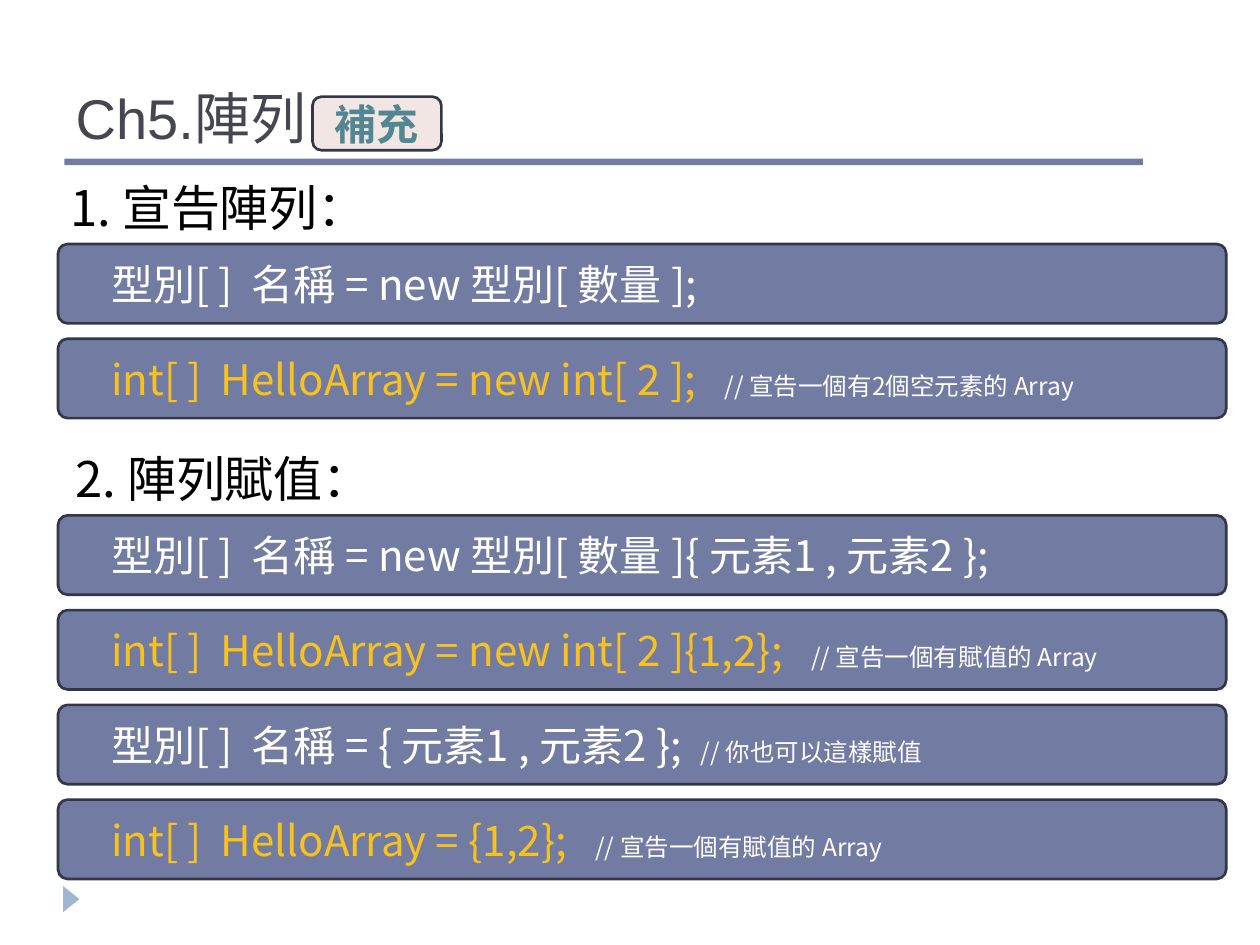
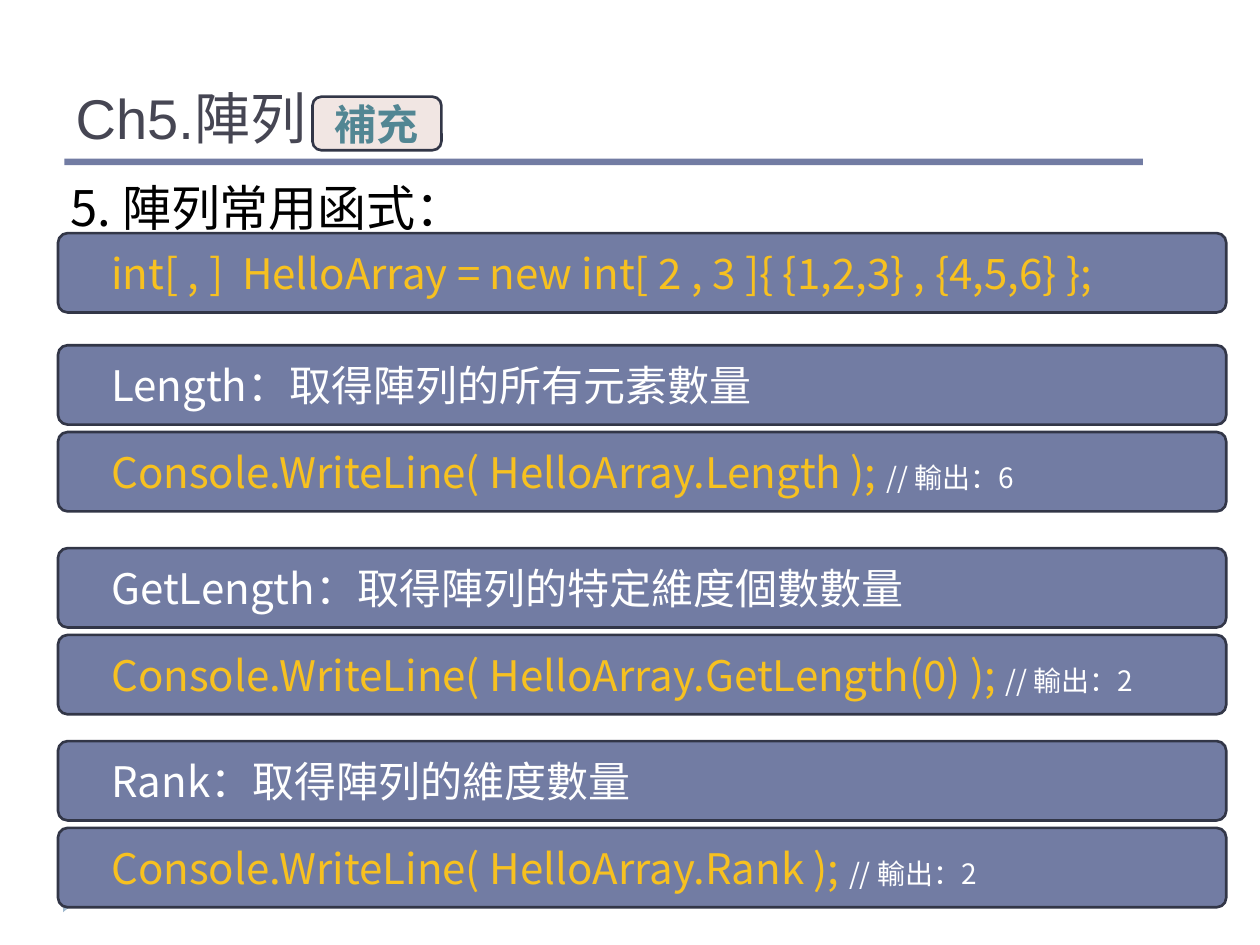
from dataclasses import dataclass

from pptx import Presentation
from pptx.dml.color import RGBColor
from pptx.enum import shapes, text
from pptx.oxml import ns
from pptx.util import Cm, Pt


@dataclass(frozen=True)
class Theme:
    # Colours
    title: str = "464653"
    accent: str = "727CA3"
    outline: str = "323647"
    marker: str = "9FB8CD"
    badge_fill: str = "F1E6E3"
    badge_text: str = "528693"
    heading: str = "000000"
    plain: str = "FFFFFF"
    code: str = "F7C120"
    # Type
    title_font: str = "Arial"
    body_font: str = "Noto Sans CJK SC"
    title_size: int = 32
    heading_size: int = 28
    code_size: int = 24
    note_size: int = 14
    output_size: int = 16


T = Theme()
SHAPE = shapes.MSO_SHAPE
ANCHOR = text.MSO_ANCHOR

# Layout in centimetres
BAR_X, BAR_W, BAR_H = 1.17, 23.55, 1.6
HEADING_W, HEADING_H = 13.7, 1.45


def lengths(box):
    return [Cm(v) for v in box]


def add_run(p, wording, size, color, font=T.body_font, bold=None):
    r = p.add_run()
    r.text = wording
    r.font.size = Pt(size)
    r.font.name = font
    r.font.bold = bold
    r.font.color.rgb = RGBColor.from_string(color)
    if font == T.body_font:
        ea = r.font._element.makeelement(ns.qn("a:ea"), {"typeface": font})
        r.font._element.find(ns.qn("a:latin")).addnext(ea)


def add_block(slide, kind, box, fill, line=None):
    sp = slide.shapes.add_shape(kind, *lengths(box))
    sp.shadow.inherit = False
    sp.fill.solid()
    sp.fill.fore_color.rgb = RGBColor.from_string(fill)
    if line:
        sp.line.color.rgb = RGBColor.from_string(line)
        sp.line.width = Pt(1.5)
    else:
        sp.line.fill.background()
    sp.text_frame.vertical_anchor = ANCHOR.MIDDLE
    return sp


def add_frame(slide):
    """Corner marker, title rule, title and badge."""
    marker = add_block(slide, SHAPE.ISOSCELES_TRIANGLE, (1.17, 17.96, 0.53, 0.33), T.marker)
    marker.rotation = 90
    add_block(slide, SHAPE.RECTANGLE, (1.3, 3.2, 21.74, 0.13), T.accent)

    title = slide.shapes.title
    title.left, title.top, title.width, title.height = lengths((1.27, 0.43, 22.86, 2.74))
    tf = title.text_frame
    tf.auto_size = text.MSO_AUTO_SIZE.NONE
    tf.vertical_anchor = ANCHOR.BOTTOM
    p = tf.paragraphs[0]
    p.alignment = text.PP_ALIGN.LEFT
    add_run(p, "Ch5.陣列", T.title_size, T.title, T.title_font)

    badge = add_block(slide, SHAPE.ROUNDED_RECTANGLE, (6.3, 1.95, 2.6, 1.08),
                      T.badge_fill, T.outline)
    p = badge.text_frame.paragraphs[0]
    p.alignment = text.PP_ALIGN.CENTER
    add_run(p, "補充", T.code_size, T.badge_text, bold=True)


def add_heading(slide, x, y, wording):
    sp = slide.shapes.add_textbox(*lengths((x, y, HEADING_W, HEADING_H)))
    sp.text_frame.word_wrap = True
    add_run(sp.text_frame.paragraphs[0], wording, T.heading_size, T.heading)


def add_bar(slide, y, color, code, note="", note_size=T.note_size):
    """One line of syntax or code, with an optional trailing comment."""
    sp = add_block(slide, SHAPE.ROUNDED_RECTANGLE, (BAR_X, y, BAR_W, BAR_H),
                   T.accent, T.outline)
    sp.adjustments[0] = 0.12
    sp.text_frame.margin_left = Cm(1.02)
    p = sp.text_frame.paragraphs[0]
    p.alignment = text.PP_ALIGN.LEFT
    add_run(p, code, T.code_size, color)
    if note:
        add_run(p, note, note_size, T.plain)


def add_section(slide, x, y, heading, bars):
    """A heading with evenly spaced bars below it."""
    add_heading(slide, x, y, heading)
    for i, bar in enumerate(bars):
        add_bar(slide, y + 1.47 + i * 1.91, *bar)


def add_member(slide, y, description, call, output):
    """A description bar and the example call under it."""
    add_bar(slide, y, T.plain, description)
    add_bar(slide, y + 1.75, T.code, call, output, T.output_size)


def new_slide(prs):
    slide = prs.slides.add_slide(prs.slide_layouts[5])
    add_frame(slide)
    return slide


def declaration_slide(prs):
    slide = new_slide(prs)
    add_section(slide, 1.17, 3.45, "1. 宣告陣列：", [
        (T.plain, "型別[ ]  名稱 = new 型別[ 數量 ];"),
        (T.code, "int[ ]  HelloArray = new int[ 2 ];   ", "// 宣告一個有2個空元素的 Array"),
    ])
    add_section(slide, 1.27, 8.92, "2. 陣列賦值：", [
        (T.plain, "型別[ ]  名稱 = new 型別[ 數量 ]{ 元素1 , 元素2 };"),
        (T.code, "int[ ]  HelloArray = new int[ 2 ]{1,2};   ", "// 宣告一個有賦值的 Array"),
        (T.plain, "型別[ ]  名稱 = { 元素1 , 元素2 };  ", "// 你也可以這樣賦值"),
        (T.code, "int[ ]  HelloArray = {1,2};   ", "// 宣告一個有賦值的 Array"),
    ])


def members_slide(prs):
    slide = new_slide(prs)
    add_heading(slide, 1.17, 3.45, "5. 陣列常用函式：")
    add_bar(slide, 4.7, T.code, "int[ , ]  HelloArray = new int[ 2 , 3 ]{ {1,2,3} , {4,5,6} };")
    members = [
        (6.96, "Length：取得陣列的所有元素數量", "Length", 6),
        (11.05, "GetLength：取得陣列的特定維度個數數量", "GetLength(0)", 2),
        (14.94, "Rank：取得陣列的維度數量", "Rank", 2),
    ]
    for y, description, member, output in members:
        add_member(slide, y, description,
                   f"Console.WriteLine( HelloArray.{member} ); ", f"// 輸出：{output}")


def main():
    prs = Presentation()
    prs.slide_width, prs.slide_height = Cm(25.4), Cm(19.05)
    declaration_slide(prs)
    members_slide(prs)
    prs.save("out.pptx")


if __name__ == "__main__":
    main()
